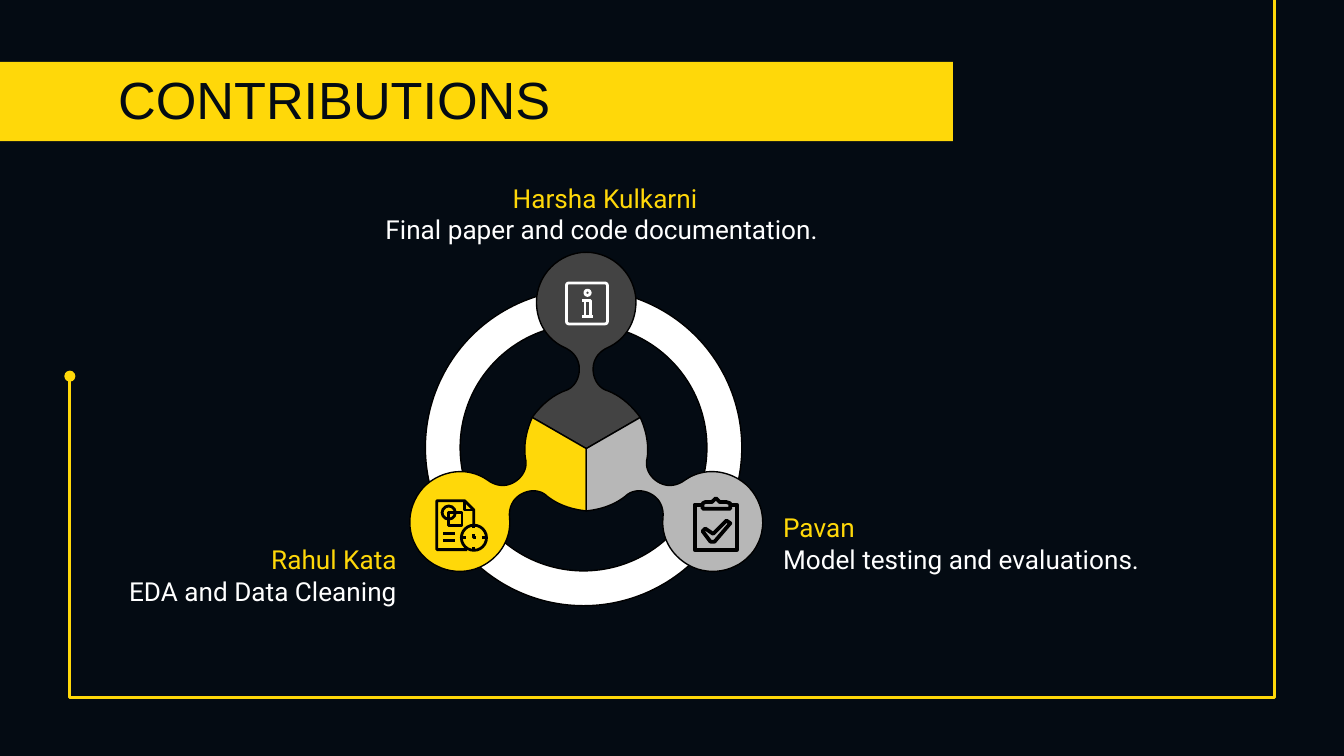
"""Build the contributions slide: three people around a ring with linked icons."""
from dataclasses import dataclass
from math import cos, radians, sin

from lxml import etree
from pptx import Presentation
from pptx import util as u
from pptx.dml.color import RGBColor
from pptx.enum import shapes, text
from pptx.oxml import ns

Cm, Pt = u.Cm, u.Pt


@dataclass(frozen=True)
class Theme:
    night: RGBColor = RGBColor.from_string("040B13")
    yellow: RGBColor = RGBColor.from_string("FFD809")
    white: RGBColor = RGBColor.from_string("FFFFFF")
    black: RGBColor = RGBColor.from_string("000000")
    dark: RGBColor = RGBColor.from_string("434343")
    grey: RGBColor = RGBColor.from_string("B7B7B7")
    title_font: str = "Arial"
    body_font: str = "Roboto"
    title_size: Pt = Pt(28)
    body_size: Pt = Pt(14)


theme = Theme()


def paint(part, fill, line, weight=0.75):
    """Set fill and line; None leaves either one empty."""
    part.shadow.inherit = False
    for target, color in ((part.fill, fill), (part.line.fill, line)):
        if color is None:
            target.background()
        else:
            target.solid()
            target.fore_color.rgb = color
    if line is not None:
        part.line.width = Pt(weight)


def trace(contours, center, grid=1, close=False):
    """Draw contours, given in grid steps of centimetres around a center."""
    placed = [[(Cm(center[0] + x * grid), Cm(center[1] + y * grid)) for x, y in points]
              for points in contours]
    builder = slide.shapes.build_freeform(*placed[0][0])
    for points in placed:
        builder.move_to(*points[0])
        builder.add_line_segments(points[1:], close=close)
    return builder.convert_to_shape()


prs = Presentation()
prs.slide_width, prs.slide_height = Cm(25.4), Cm(14.29)
slide = prs.slides.add_slide(prs.slide_layouts[5])
slide.background.fill.solid()
slide.background.fill.fore_color.rgb = theme.night

banner = slide.shapes.add_shape(shapes.MSO_SHAPE.RECTANGLE, 0, Cm(1.17), Cm(18.01), Cm(1.5))
paint(banner, theme.yellow, None)

left, right, bottom = 1.32, 24.08, 13.18
frame = trace([[(left, 9.58), (left, bottom), (right, bottom), (right, 2.31)]], (0, 0))
paint(frame, None, theme.yellow, 1.5)
for x, start, end, tail in ((left, 9.7, 7.11, "oval"), (right, 2.34, 0, None)):
    edge = slide.shapes.add_connector(
        shapes.MSO_CONNECTOR.STRAIGHT, Cm(x), Cm(start), Cm(x), Cm(end))
    edge.line.color.rgb = theme.yellow
    edge.line.width = Pt(1.5)
    if tail:
        etree.SubElement(edge.line._get_or_add_ln(), ns.qn("a:tailEnd"), type=tail)
    etree.SubElement(edge._element.spPr, ns.qn("a:effectLst"))

title = slide.shapes.title
title.element.getparent().append(title.element)
title.left, title.top, title.width, title.height = Cm(1.98), Cm(1.07), Cm(21.44), Cm(1.6)
title.text_frame.auto_size = text.MSO_AUTO_SIZE.NONE
title.text_frame.vertical_anchor = text.MSO_ANCHOR.MIDDLE
heading = title.text_frame.paragraphs[0]
heading.alignment = text.PP_ALIGN.LEFT
heading_run = heading.add_run()
heading_run.text = "CONTRIBUTIONS"
heading_run.font.name = theme.title_font
heading_run.font.size = theme.title_size
heading_run.font.color.rgb = theme.night

ring = slide.shapes.add_shape(shapes.MSO_SHAPE.DONUT, Cm(8.04), Cm(5.47), Cm(5.98), Cm(5.98))
ring.adjustments[0] = 0.11
paint(ring, theme.white, theme.black)

hub, reach = (11.08, 8.48), 2.77
arm_start = (1.02, -0.59)
arm_curves = [
    ((0.86, -0.81), (0.66, -0.99), (0.41, -1.09)),
    ((0.23, -1.14), (0.13, -1.32), (0.13, -1.5)),
    ((0.13, -1.68), (0.23, -1.83), (0.41, -1.91)),
    ((0.74, -2.06), (0.94, -2.39), (0.94, -2.77)),
    ((0.94, -3.28), (0.51, -3.71), (0, -3.71)),
]
steps = 16
half = [arm_start]
for curve in arm_curves:
    corners = (half[-1], *curve)
    for step in range(1, steps + 1):
        t = step / steps
        weights = ((1 - t) ** 3, 3 * t * (1 - t) ** 2, 3 * t ** 2 * (1 - t), t ** 3)
        half.append(tuple(sum(w * c[axis] for w, c in zip(weights, corners))
                          for axis in (0, 1)))
arm = [(0, 0), *half, *[(-x, y) for x, y in half[-2::-1]]]

info_strokes = [
    [(-3, -1), (3, -1), (3, 11)],
    [(-1, -1), (-1, 11)],
    [(-3, 11), (5, 11)],
]
report_strokes = [
    [(6, 21), (-17, 21), (-17, -16), (4, -16), (11, -9), (11, 2)],
    [(4, -16), (4, -9), (11, -9)],
    [(-8, -7), (2, -7), (2, 3), (-8, 3), (-8, -7)],
    [(-12, 9), (-3, 9)],
    [(-12, 14), (-3, 14)],
    [(11, 9), (11, 12), (13, 12)],
    [(11, 2), (11, 5)],
    [(11, 19), (11, 22)],
    [(1, 12), (5, 12)],
    [(17, 12), (21, 12)],
]
clipboard_strokes = [
    [(-8, -13), (-14, -13), (-14, 21), (18, 21), (18, -13), (13, -13)],
    [(-8, -10), (13, -10), (13, -14), (10, -15), (5, -15), (2, -18),
     (-1, -15), (-6, -15), (-8, -14), (-8, -10)],
    [(-8, 7), (-6, 5), (0, 9), (10, -1), (13, 1), (1, 15), (-2, 15), (-8, 7)],
]
oval, rounded = shapes.MSO_SHAPE.OVAL, shapes.MSO_SHAPE.ROUNDED_RECTANGLE
info_rounds = [(rounded, 0.5, 1, 15.5), (oval, 1, -7, 2)]
report_rounds = [(oval, -8, -7, 5), (oval, 11, 12, 9.5)]
contributions = [
    (0, theme.dark, theme.white, 1.5, info_strokes, info_rounds),
    (240, theme.yellow, theme.black, 1.5, report_strokes, report_rounds),
    (120, theme.grey, theme.black, 2, clipboard_strokes, []),
]
for angle, fill, ink, weight, strokes, rounds in contributions:
    s, c = sin(radians(angle)), cos(radians(angle))
    turned = [(x * c - y * s, x * s + y * c) for x, y in arm]
    paint(trace([turned], hub, close=True), fill, theme.black)
    center, grid = (hub[0] + reach * s, hub[1] - reach * c), 0.025
    paint(trace(strokes, center, grid), None, ink, weight)
    for kind, x, y, radius in rounds:
        side = Cm(2 * radius * grid)
        mark = slide.shapes.add_shape(
            kind, Cm(center[0] + (x - radius) * grid), Cm(center[1] + (y - radius) * grid),
            side, side)
        if kind == rounded:
            mark.adjustments[0] = 0.06
        paint(mark, None, ink, weight)

people = [
    ("Pavan", "Model testing and evaluations.",
     (14.55, 9.42, 8, 2.77), text.PP_ALIGN.LEFT),
    ("Harsha Kulkarni", "Final paper and code documentation. ",
     (6.71, 3.2, 9.45, 1.6), text.PP_ALIGN.CENTER),
    ("Rahul Kata", "EDA and Data Cleaning",
     (1.63, 10.03, 6.12, 2.34), text.PP_ALIGN.RIGHT),
]
for person, task, box, alignment in people:
    label = slide.shapes.add_textbox(*map(Cm, box)).text_frame
    label.word_wrap = True
    label.margin_left = label.margin_right = Cm(0.25)
    label.margin_top = label.margin_bottom = Cm(0.25)
    for paragraph, words, color in (
            (label.paragraphs[0], person, theme.yellow),
            (label.add_paragraph(), task, theme.white)):
        paragraph.alignment = alignment
        run = paragraph.add_run()
        run.text = words
        run.font.name = theme.body_font
        run.font.size = theme.body_size
        run.font.color.rgb = color

prs.save("out.pptx")
